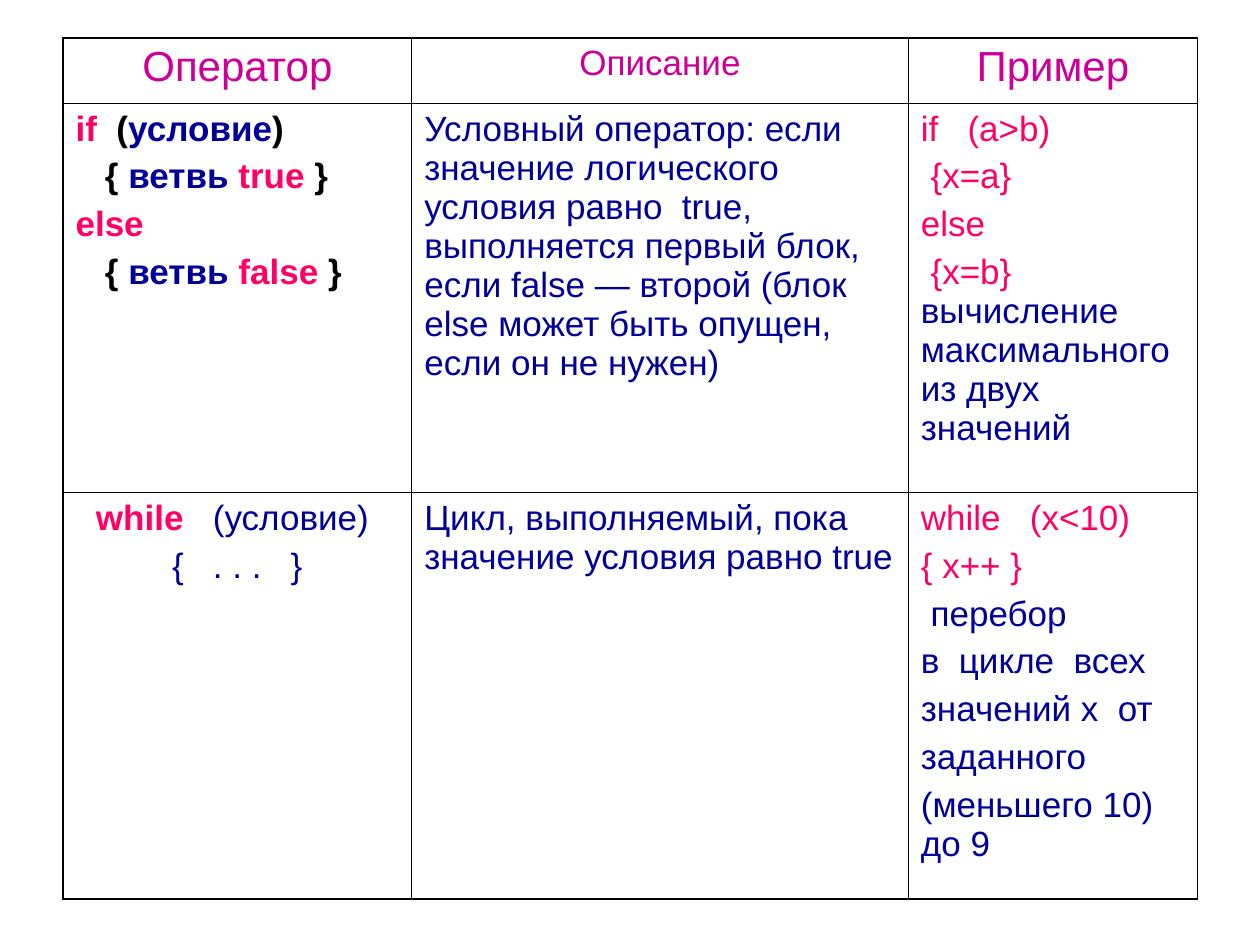
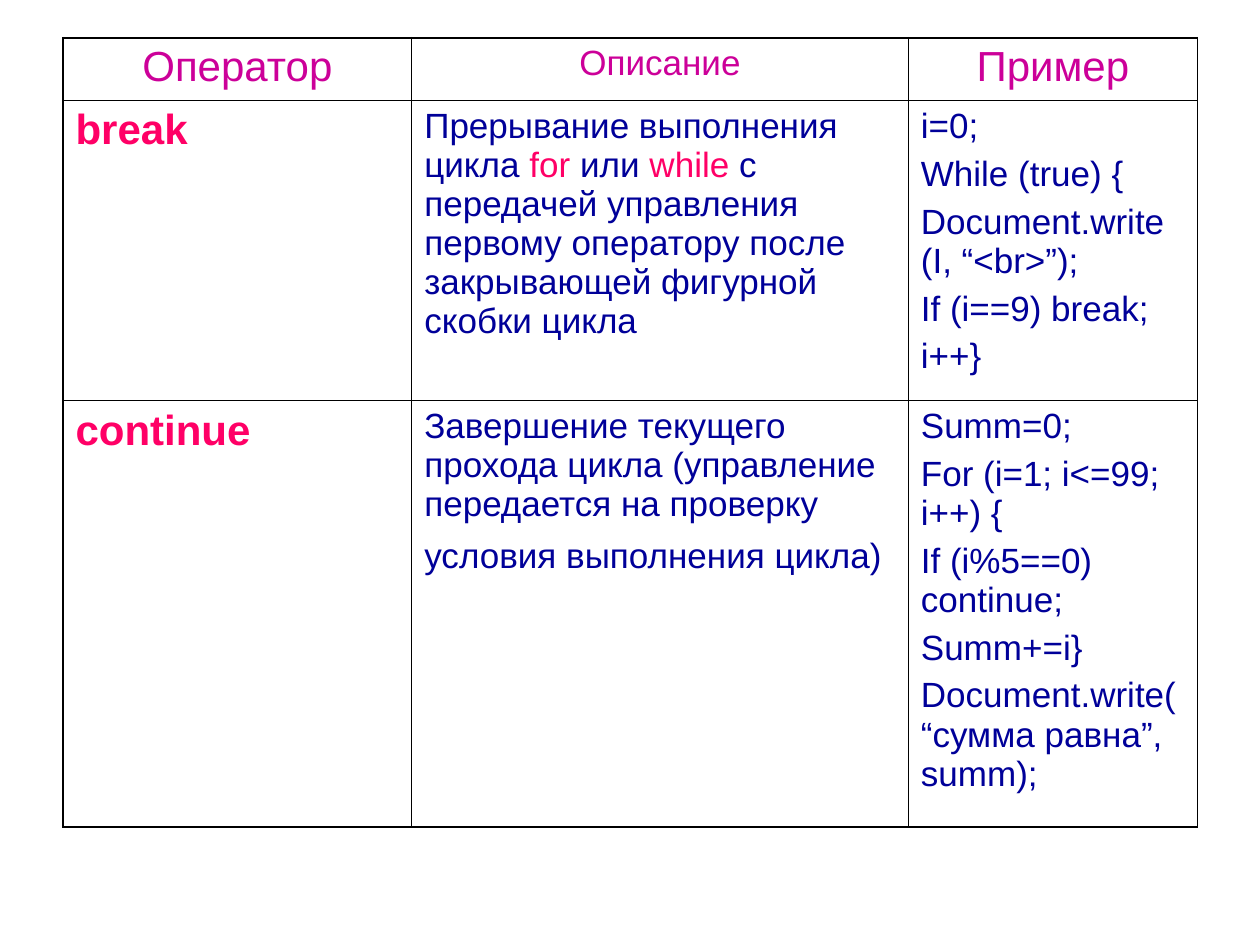
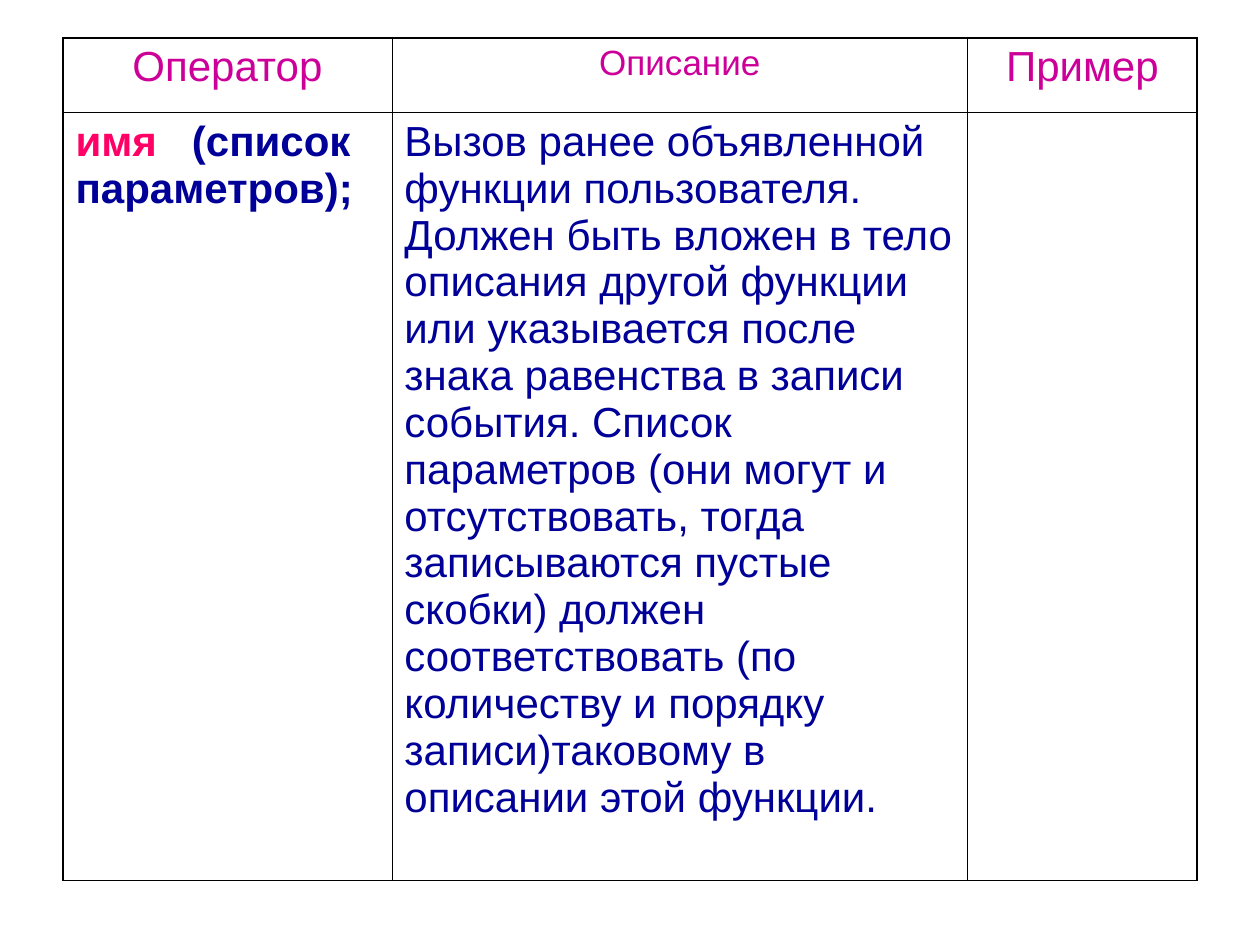
from dataclasses import dataclass

from lxml.etree import SubElement
from pptx import Presentation
from pptx.dml.color import RGBColor
from pptx.enum.text import PP_ALIGN as Align
from pptx.oxml.ns import qn
from pptx.util import Cm, Pt

# Shared look
FONT = "Arial"
MAGENTA = RGBColor(0xCC, 0x00, 0x99)
PINK = RGBColor(0xFF, 0x00, 0x66)
NAVY = RGBColor(0x00, 0x00, 0x99)
BLACK = RGBColor(0x00, 0x00, 0x00)
BODY_SIZE, LARGE_SIZE = 20, 24
OUTER_BORDER, INNER_BORDER = Pt(1.08), Pt(0.45)
TABLE_LEFT, TABLE_TOP = Cm(1.27), Cm(0.76)
CODE_INDENT = Cm(0.59)
OPERATOR_COLUMNS = (7.03, 10.01, 5.83)
CALL_COLUMNS = (6.63, 11.61, 4.62)


@dataclass
class Piece:
    text: str
    color: RGBColor = NAVY
    bold: bool = False
    size: int = BODY_SIZE


@dataclass
class Line:
    pieces: list
    align: Align = Align.LEFT
    indent: int = 0


def line(text, color=NAVY, bold=False, size=BODY_SIZE, align=Align.LEFT):
    return Line([Piece(text, color, bold, size)], align)


def lines(color, *texts):
    return [line(text, color) for text in texts]


def branch(value):
    """An indented block of the if statement."""
    parts = (("{ ", BLACK), ("ветвь ", NAVY), (value, PINK), (" }", BLACK))
    return Line([Piece(text, color, True) for text, color in parts],
                indent=CODE_INDENT)


HEADER = [
    [line(title, MAGENTA, size=size, align=Align.CENTER)]
    for title, size in (("Оператор", LARGE_SIZE), ("Описание", BODY_SIZE),
                        ("Пример", LARGE_SIZE))
]


def write_line(paragraph, content):
    paragraph.alignment = content.align
    paragraph.space_before = Pt(max(piece.size for piece in content.pieces) / 4)
    if content.indent:
        paragraph._p.get_or_add_pPr().set("marL", str(content.indent))
    for piece in content.pieces:
        run = paragraph.add_run()
        run.text = piece.text
        run.font.name = FONT
        run.font.size = Pt(piece.size)
        run.font.bold = piece.bold
        run.font.color.rgb = piece.color


def set_borders(cell, outer_sides):
    properties = cell._tc.get_or_add_tcPr()
    for side in "LRTB":
        width = OUTER_BORDER if side in outer_sides else INNER_BORDER
        border = SubElement(properties, qn(f"a:ln{side}"), w=str(width))
        fill = SubElement(border, qn("a:solidFill"))
        SubElement(fill, qn("a:srgbClr"), val=str(BLACK))


def fill_cell(cell, content, outer_sides):
    set_borders(cell, outer_sides)
    cell.fill.background()
    text_frame = cell.text_frame
    for index, content_line in enumerate(content):
        paragraph = (text_frame.add_paragraph() if index
                     else text_frame.paragraphs[0])
        write_line(paragraph, content_line)


def add_operator_slide(presentation, widths, heights, body):
    slide = presentation.slides.add_slide(presentation.slide_layouts[6])
    rows = [HEADER, *body]
    table = slide.shapes.add_table(
        len(rows), len(widths), TABLE_LEFT, TABLE_TOP,
        Cm(sum(widths)), Cm(sum(heights))).table
    table.first_row = table.horz_banding = False
    for column, width in zip(table.columns, widths):
        column.width = Cm(width)
    for row, height in zip(table.rows, heights):
        row.height = Cm(height)

    last_row, last_column = len(rows) - 1, len(widths) - 1
    for r, row in enumerate(rows):
        for c, content in enumerate(row):
            edges = {"T": r == 0, "B": r == last_row,
                     "L": c == 0, "R": c == last_column}
            outer_sides = [side for side, is_outer in edges.items() if is_outer]
            fill_cell(table.cell(r, c), content, outer_sides)


# Slide contents: one list of lines per cell
IF_ROW = [
    [Line([Piece("if", PINK, True), Piece("  (", BLACK, True),
           Piece("условие", NAVY, True), Piece(")", BLACK, True)]),
     branch("true"),
     line("else", PINK, True),
     branch("false")],
    [line("Условный оператор: если значение логического условия равно  true, "
          "выполняется первый блок, если false — второй (блок else может быть "
          "опущен, если он не нужен)")],
    [*lines(PINK, "if   (a>b)", " {x=a}", "else"),
     Line([Piece(" {x=b} ", PINK),
           Piece("вычисление максимального из двух значений")])],
]
WHILE_ROW = [
    [Line([Piece("while   ", PINK, True), Piece("(условие) ")], Align.CENTER),
     line("{   . . .   }", align=Align.CENTER)],
    [line("Цикл, выполняемый, пока значение условия равно true")],
    [*lines(PINK, "while   (x<10)", "{ x++ }"),
     *lines(NAVY, " перебор", "в  цикле  всех", "значений х  от", "заданного",
            "(меньшего 10)  до 9")],
]
BREAK_ROW = [
    [line("break", PINK, True, LARGE_SIZE)],
    [Line([Piece("Прерывание выполнения цикла "), Piece("for", PINK),
           Piece(" или "), Piece("while", PINK),
           Piece(" с передачей управления первому оператору после "
                 "закрывающей фигурной скобки цикла")])],
    lines(NAVY, "i=0;", "While (true) {", "Document.write (I, “<br>”);",
          "If (i==9) break;", "i++}"),
]
CONTINUE_ROW = [
    [line("continue", PINK, True, LARGE_SIZE)],
    [Line([Piece("Завершение текущего прохода цикла (управление передается "
                 "на проверку условия выполнения цикла)"),
           Piece(" ", size=28)])],
    lines(NAVY, "Summ=0;", "For (i=1; i<=99; i++) {", "If (i%5==0) continue;",
          "Summ+=i}", "Document.write(“сумма равна”, summ);"),
]
CALL_ROW = [
    [Line([Piece("имя", PINK, True, LARGE_SIZE),
           Piece("   (список параметров);", NAVY, True, LARGE_SIZE)])],
    [line("Вызов ранее объявленной функции пользователя. Должен быть вложен в "
          "тело описания другой функции или указывается после знака равенства "
          "в записи события. Список параметров (они могут и отсутствовать, "
          "тогда записываются пустые скобки) должен соответствовать (по "
          "количеству и порядку записи)таковому в описании этой функции.",
          size=LARGE_SIZE)],
    [],
]


def main():
    presentation = Presentation()
    presentation.slide_width, presentation.slide_height = Cm(25.4), Cm(19.05)
    add_operator_slide(presentation, OPERATOR_COLUMNS, (1.32, 7.85, 8.2),
                       [IF_ROW, WHILE_ROW])
    add_operator_slide(presentation, OPERATOR_COLUMNS, (1.27, 6.05, 8.59),
                       [BREAK_ROW, CONTINUE_ROW])
    add_operator_slide(presentation, CALL_COLUMNS, (1.5, 15.49), [CALL_ROW])
    presentation.save("out.pptx")


if __name__ == "__main__":
    main()
